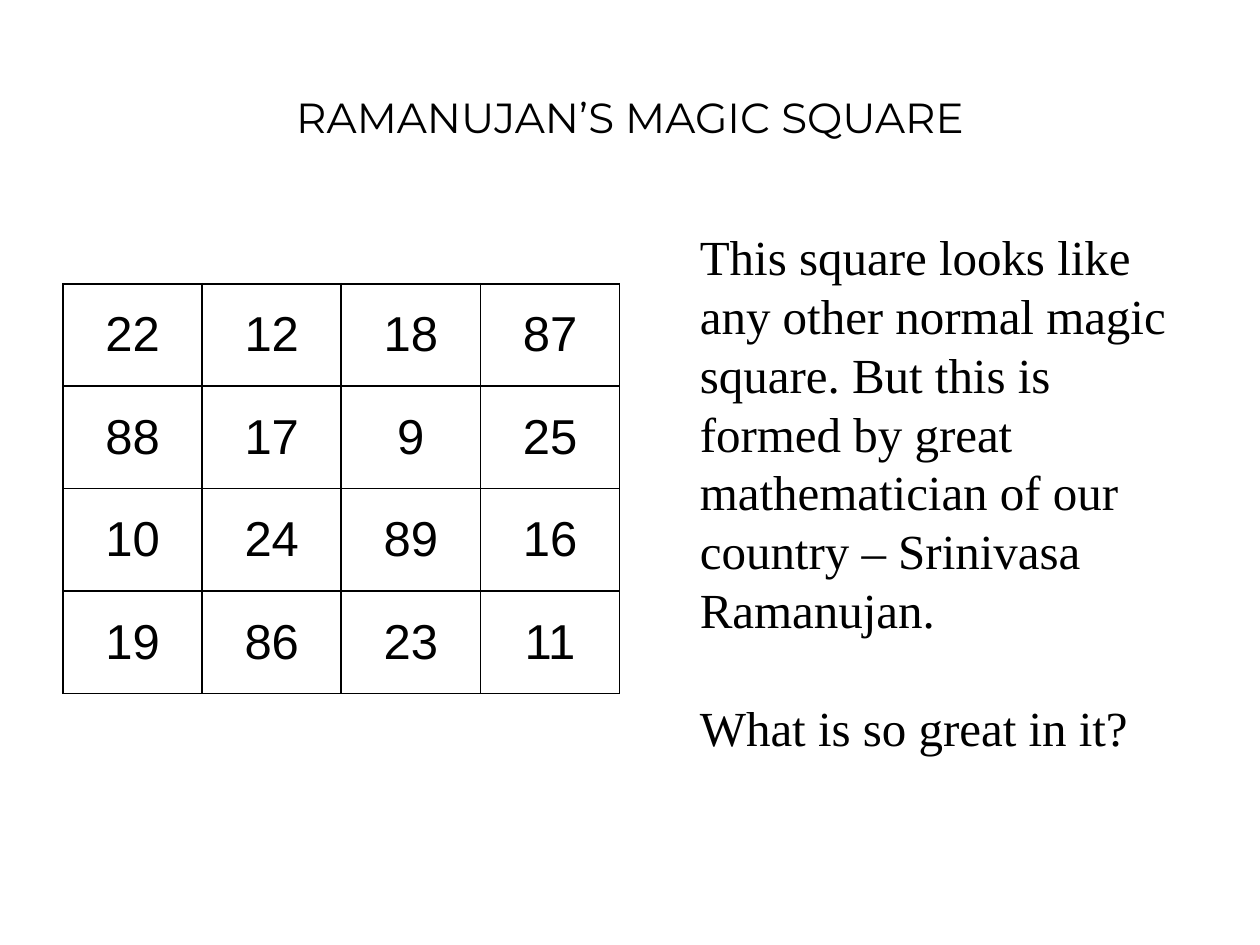
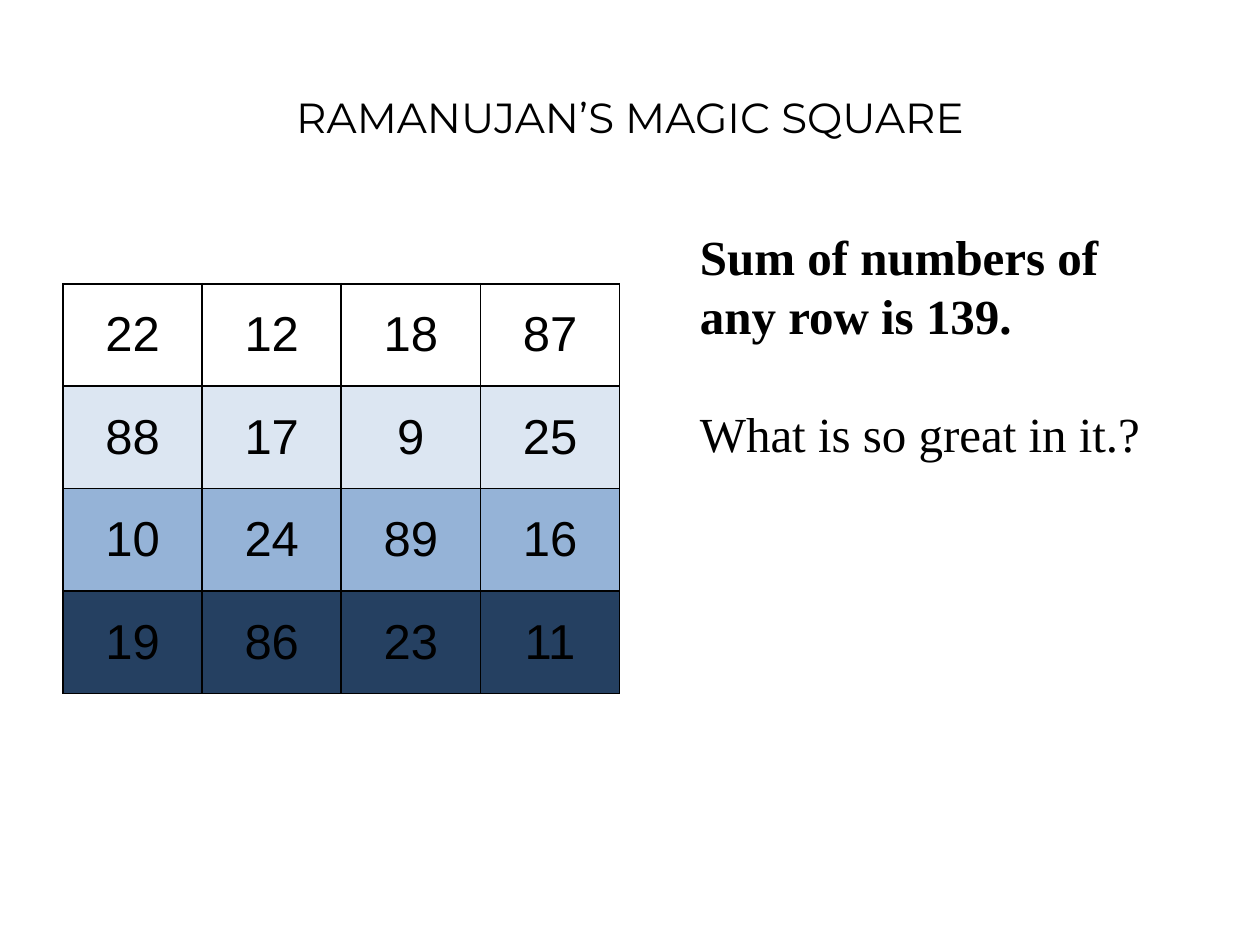
from lxml.etree import SubElement
from pptx import Presentation
from pptx.dml.color import RGBColor
from pptx.enum.text import MSO_ANCHOR, PP_ALIGN
from pptx.oxml.ns import qn
from pptx.util import Cm, Pt

TITLE = "RAMANUJAN’S MAGIC SQUARE"
SQUARE = [
    (22, 12, 18, 87),
    (88, 17, 9, 25),
    (10, 24, 89, 16),
    (19, 86, 23, 11),
]
BLACK = "000000"
SLIDES = [
    {
        "row_fills": [None] * 4,
        "remarks": [
            ("This square looks like any other normal magic square. But this is "
             "formed by great mathematician of our country – Srinivasa Ramanujan.", False),
            ("What is so great in it?", False),
        ],
    },
    {
        "row_fills": ["FFFFFF", "DCE6F2", "95B3D7", "254061"],
        "remarks": [
            ("Sum of numbers of any row is 139.", True),
            ("What is so great in it.?", False),
        ],
    },
]
LINE_HEIGHT = Pt(33.6)


def color(value):
    return RGBColor.from_string(value)


def style(para, text, font_name, size, bold=False, align=PP_ALIGN.LEFT):
    para.text = text
    para.alignment = align
    para.font.name = font_name
    para.font.size = Pt(size)
    para.font.bold = bold
    para.font.color.rgb = color(BLACK)


def add_box(page, left, top, width, height, anchor):
    box = page.shapes.add_textbox(Cm(left), Cm(top), Cm(width), Cm(height))
    frame = box.text_frame
    frame.word_wrap = True
    frame.vertical_anchor = anchor
    return frame


def add_title(page):
    frame = add_box(page, 1.27, 0.76, 22.86, 3.18, MSO_ANCHOR.MIDDLE)
    style(frame.paragraphs[0], TITLE, "Montserrat", 24, align=PP_ALIGN.CENTER)


def add_borders(cell):
    properties = cell._tc.get_or_add_tcPr()
    for side in ("lnL", "lnR", "lnT", "lnB"):
        line = SubElement(properties, qn(f"a:{side}"), w=str(Pt(1.08)))
        fill = SubElement(line, qn("a:solidFill"))
        SubElement(fill, qn("a:srgbClr"), val=BLACK)


def add_square(page, row_fills):
    size = len(SQUARE)
    table = page.shapes.add_table(
        size, size, Cm(1.27), Cm(5.72), Cm(11.22), Cm(8.26)).table
    table.first_row = False
    table.horz_banding = False
    for row, (numbers, row_fill) in enumerate(zip(SQUARE, row_fills)):
        for column, number in enumerate(numbers):
            cell = table.cell(row, column)
            cell.vertical_anchor = MSO_ANCHOR.MIDDLE
            style(cell.text_frame.paragraphs[0], str(number), "Arial", 28,
                  align=PP_ALIGN.CENTER)
            add_borders(cell)
            if row_fill:
                cell.fill.solid()
                cell.fill.fore_color.rgb = color(row_fill)
            else:
                cell.fill.background()


def add_remarks(page, remarks):
    frame = add_box(page, 12.9, 4.45, 11.23, 12.57, MSO_ANCHOR.TOP)
    frame.margin_left = Cm(1.21)
    for index, (text, bold) in enumerate(remarks):
        para = frame.add_paragraph() if index else frame.paragraphs[0]
        style(para, text, "Times New Roman", 28, bold)
        para.line_spacing = LINE_HEIGHT
        if index:
            para.space_before = LINE_HEIGHT


def main():
    deck = Presentation()
    deck.slide_width, deck.slide_height = Cm(25.4), Cm(19.05)
    for content in SLIDES:
        page = deck.slides.add_slide(deck.slide_layouts[6])
        add_title(page)
        add_square(page, content["row_fills"])
        add_remarks(page, content["remarks"])
    deck.save("out.pptx")


if __name__ == "__main__":
    main()
